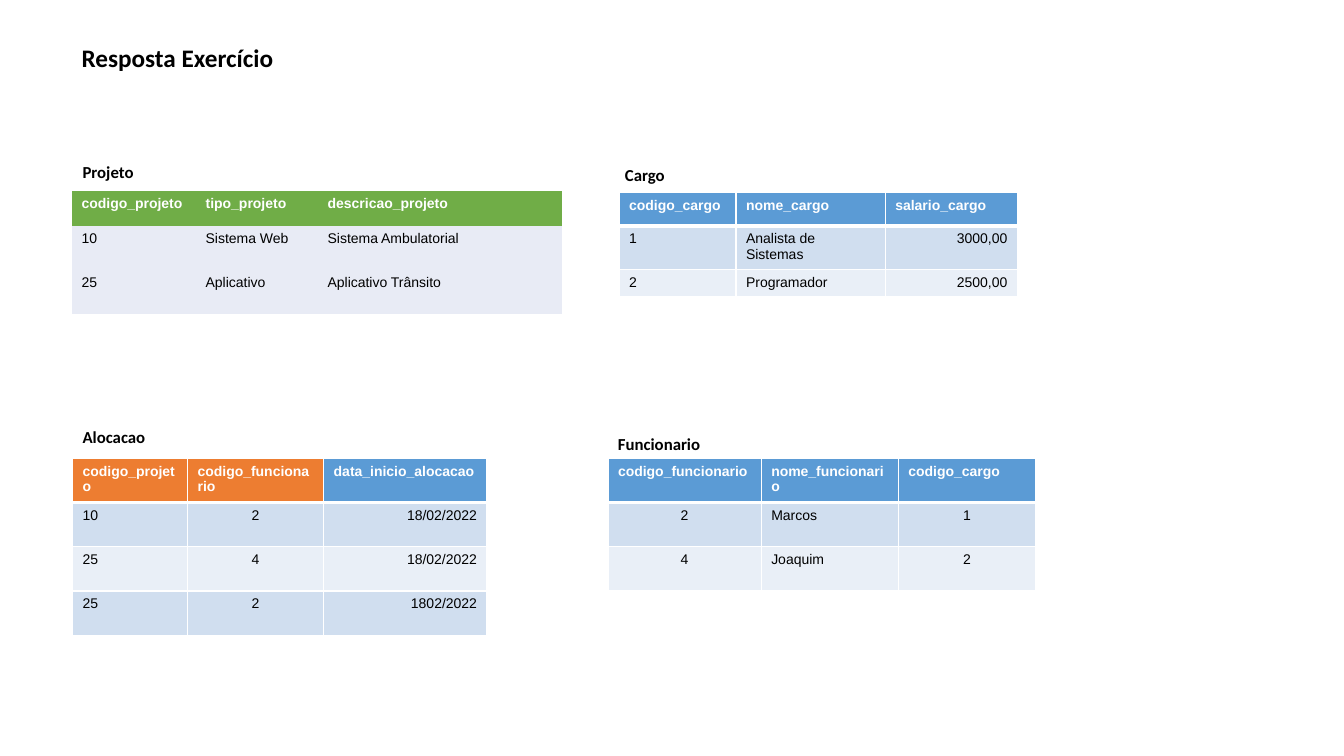
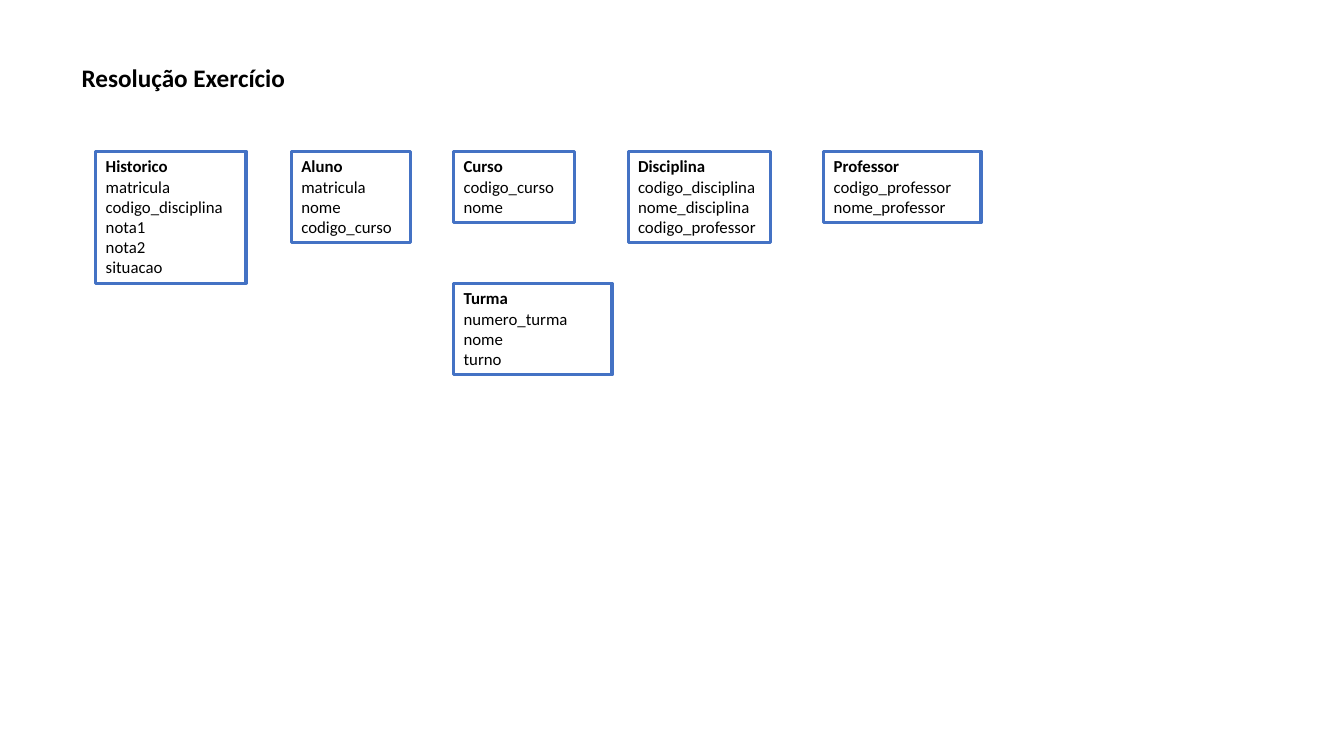
from lxml import etree
from pptx import Presentation
from pptx import util as u
from pptx.dml import color
from pptx.enum import shapes, text
from pptx.oxml import ns

BLACK, WHITE = "000000", "FFFFFF"
BLUE, GREEN, ORANGE, OUTLINE = "5B9BD5", "70AD47", "ED7D31", "4472C4"
BANDS = ("D0DEEF", "E9EFF7")
PLAIN_BANDS = ("E8EBF5", "E8EBF5")
NO_GRID_STYLE = "{2D5ABB26-0587-4C30-8999-92F81FD0307C}"
ALIGN = {"l": text.PP_ALIGN.LEFT, "c": text.PP_ALIGN.CENTER, "r": text.PP_ALIGN.RIGHT}


def rgb(value):
    """Turn a hex string into a colour."""
    return color.RGBColor.from_string(value)


def write(p, content, size=12, font="Calibri", fill=BLACK, bold=False, align="l"):
    """Write one formatted run into a paragraph."""
    p.alignment = ALIGN[align]
    r = p.add_run()
    r.text = content
    r.font.size, r.font.name, r.font.bold = u.Pt(size), font, bold
    r.font.color.rgb = rgb(fill)


def add_slide(prs, title, width, height):
    """Add a slide with its title."""
    s = prs.slides.add_slide(prs.slide_layouts.get_by_name("Title Only"))
    sp = s.shapes.title
    sp.left, sp.top = u.Inches(0.71), u.Inches(0.28)
    sp.width, sp.height = u.Inches(width), u.Inches(height)
    tf = sp.text_frame
    tf.word_wrap = True
    tf.auto_size = text.MSO_AUTO_SIZE.NONE
    tf.vertical_anchor = text.MSO_ANCHOR.MIDDLE
    tf.paragraphs[0].line_spacing = 0.9
    write(tf.paragraphs[0], title, size=18, bold=True)
    return s


def add_label(s, content, left, top):
    """Add the bold name above a table."""
    sp = s.shapes.add_textbox(u.Inches(left), u.Inches(top), u.Inches(1.38), u.Inches(0.3))
    tf = sp.text_frame
    tf.word_wrap = True
    write(tf.paragraphs[0], content, bold=True)


def add_borders(cell, row):
    """Draw white cell borders, thicker under the header row."""
    widths = {"L": 1, "R": 1, "T": 3 if row == 1 else 1, "B": 3 if row == 0 else 1}
    for side, width in widths.items():
        ln = etree.SubElement(cell._tc.get_or_add_tcPr(), ns.qn(f"a:ln{side}"), w=str(u.Pt(width)))
        fill = etree.SubElement(ln, ns.qn("a:solidFill"))
        etree.SubElement(fill, ns.qn("a:srgbClr"), val=WHITE)


def add_table(s, left, top, widths, heights, rows, aligns, heads, bands=BANDS, grid=True):
    """Add a table with a coloured header and banded rows."""
    frame = s.shapes.add_table(
        len(rows), len(widths), u.Inches(left), u.Inches(top),
        u.Inches(sum(widths)), u.Inches(sum(heights)))
    table = frame.table
    table._tbl.tblPr.find(ns.qn("a:tableStyleId")).text = NO_GRID_STYLE
    for column, width in zip(table.columns, widths):
        column.width = u.Inches(width)
    for i, (row, height) in enumerate(zip(rows, heights)):
        table.rows[i].height = u.Inches(height)
        for j, content in enumerate(row):
            cell = table.cell(i, j)
            header = i == 0
            if grid:
                add_borders(cell, i)
            cell.fill.solid()
            cell.fill.fore_color.rgb = rgb(heads[j] if header else bands[(i - 1) % 2])
            write(cell.text_frame.paragraphs[0], content, size=10, font="Arial",
                  fill=WHITE if header else BLACK, bold=header,
                  align="l" if header else aligns[j])


def add_entity(s, left, top, width, name, *fields):
    """Add an outlined box with an entity name and its fields."""
    height = 0.11 + 0.2 * (1 + len(fields))
    sp = s.shapes.add_shape(shapes.MSO_SHAPE.RECTANGLE, u.Inches(left), u.Inches(top),
                            u.Inches(width), u.Inches(height))
    sp.shadow.inherit = False
    sp.fill.solid()
    sp.fill.fore_color.rgb = rgb(WHITE)
    sp.line.color.rgb = rgb(OUTLINE)
    sp.line.width = u.Pt(2.25)
    tf = sp.text_frame
    tf.word_wrap = True
    tf.auto_size = text.MSO_AUTO_SIZE.SHAPE_TO_FIT_TEXT
    tf.vertical_anchor = text.MSO_ANCHOR.TOP
    write(tf.paragraphs[0], name, bold=True)
    for field in fields:
        write(tf.add_paragraph(), field)


def build_tables(prs):
    """Build the slide with the four filled tables."""
    s = add_slide(prs, "Resposta Exercício", 2.23, 0.62)
    add_label(s, "Projeto", 0.72, 1.56)
    add_table(s, 0.71, 1.89, (1.23, 1.21, 2.42), (0.35, 0.44, 0.44), (
        ("codigo_projeto", "tipo_projeto", "descricao_projeto"),
        ("10", "Sistema Web", "Sistema Ambulatorial"),
        ("25", "Aplicativo", "Aplicativo Trânsito"),
    ), "lll", [GREEN] * 3, bands=PLAIN_BANDS, grid=False)
    add_label(s, "Cargo", 6.1, 1.59)
    add_table(s, 6.14, 1.91, (1.16, 1.48, 1.31), (0.33, 0.38, 0.26), (
        ("codigo_cargo", "nome_cargo", "salario_cargo"),
        ("1", "Analista de Sistemas", "3000,00"),
        ("2", "Programador", "2500,00"),
    ), "llr", [BLUE] * 3)
    add_label(s, "Alocacao", 0.72, 4.18)
    add_table(s, 0.72, 4.55, (1.14, 1.35, 1.62), (0.31, 0.44, 0.44, 0.44), (
        ("codigo_projeto", "codigo_funcionario", "data_inicio_alocacao"),
        ("10", "2", "18/02/2022"),
        ("25", "4", "18/02/2022"),
        ("25", "2", "1802/2022"),
    ), "lcr", [ORANGE, ORANGE, BLUE])
    add_label(s, "Funcionario", 6.03, 4.25)
    add_table(s, 6.03, 4.55, (1.52, 1.36, 1.36), (0.3, 0.44, 0.44), (
        ("codigo_funcionario", "nome_funcionario", "codigo_cargo"),
        ("2", "Marcos", "1"),
        ("4", "Joaquim", "2"),
    ), "clc", [BLUE] * 3)


def build_entities(prs):
    """Build the slide with the entity boxes."""
    s = add_slide(prs, "Resolução Exercício", 3.27, 1.01)
    top, lower = 1.5, 2.81
    add_entity(s, 0.95, top, 1.49, "Historico", "matricula", "codigo_disciplina",
               "nota1", "nota2", "situacao")
    add_entity(s, 2.89, top, 1.18, "Aluno", "matricula", "nome", "codigo_curso")
    add_entity(s, 4.5, top, 1.2, "Curso", "codigo_curso", "nome")
    add_entity(s, 6.23, top, 1.41, "Disciplina", "codigo_disciplina",
               "nome_disciplina", "codigo_professor")
    add_entity(s, 8.17, top, 1.56, "Professor", "codigo_professor", "nome_professor")
    add_entity(s, 4.5, lower, 1.57, "Turma", "numero_turma", "nome", "turno")


def main():
    """Build and save the presentation."""
    prs = Presentation()
    prs.slide_width, prs.slide_height = u.Inches(13.33), u.Inches(7.5)
    build_tables(prs)
    build_entities(prs)
    prs.save("out.pptx")


if __name__ == "__main__":
    main()
